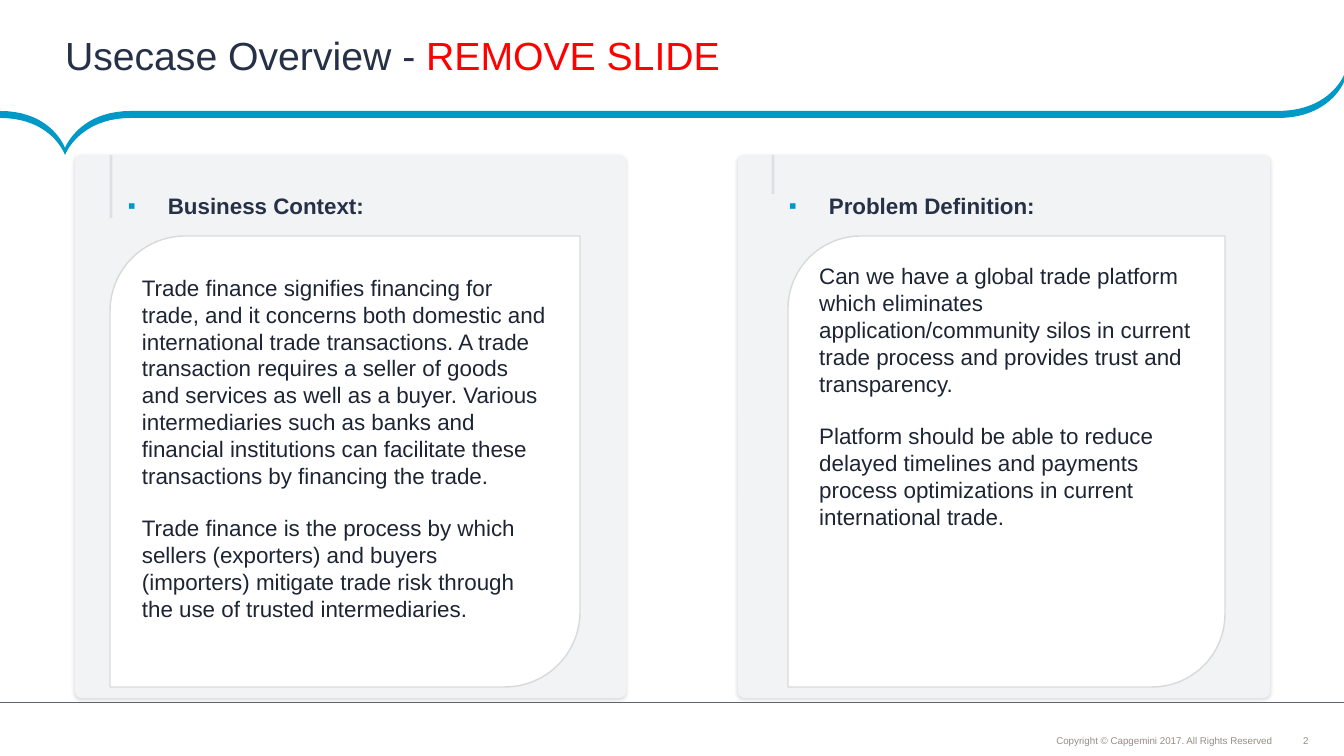
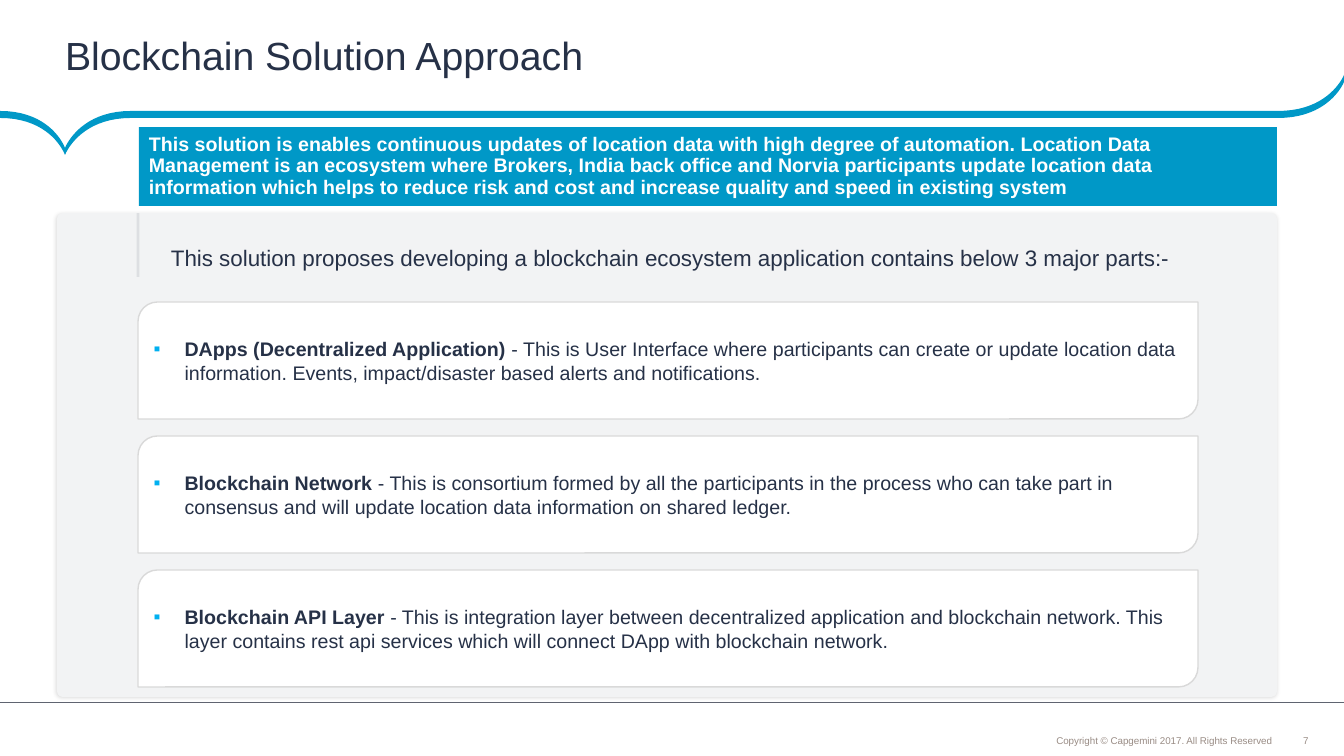
"""Build the use case overview and the solution approach slides."""
from lxml.etree import SubElement
from pptx import Presentation
from pptx.dml.color import RGBColor
from pptx.enum.shapes import MSO_CONNECTOR, MSO_SHAPE
from pptx.enum.text import MSO_ANCHOR, MSO_AUTO_SIZE, PP_ALIGN
from pptx.oxml.ns import qn
from pptx.util import Pt

PX = 9071
FONT = "Arial"
NAVY, INK, BLUE, SKY = "263147", "1D2535", "0098C7", "00B0F0"
WHITE, PALE, EDGE, RULE = "FFFFFF", "F2F3F4", "D9D9D9", "5F6470"
FOOTER_GREY, RED = "998C85", "FF0000"
colour = RGBColor.from_string


def place(slide, box, preset=None, fill=None, outline=None):
    """Add a text box, or a preset shape with its fill and outline."""
    left, top, width, height = (PX * length for length in box)
    if preset is None:
        return slide.shapes.add_textbox(left, top, width, height)
    shape = slide.shapes.add_shape(preset, left, top, width, height)
    shape.shadow.inherit = False
    shape.fill.solid()
    shape.fill.fore_color.rgb = colour(fill)
    if outline:
        shape.line.color.rgb = colour(outline)
        shape.line.width = Pt(1)
    else:
        shape.line.fill.background()
    return shape


def write(shape, paragraphs, size, frame={}, layout={}, bullet=None, indent=0):
    """Fill a shape with paragraphs, each a list of (text, colour, bold) runs."""
    for name, value in {"word_wrap": True, **frame}.items():
        setattr(shape.text_frame, name, value)
    for index, runs in enumerate(paragraphs):
        paragraph = shape.text_frame.add_paragraph() if index else shape.text_frame.paragraphs[0]
        for name, value in {"alignment": PP_ALIGN.LEFT, **layout}.items():
            setattr(paragraph, name, value)
        if index:
            paragraph.space_before = Pt(size * 1.15)
        if bullet:
            properties = paragraph._p.get_or_add_pPr()
            properties.set("marL", str(PX * indent))
            properties.set("indent", str(-PX * indent))
            SubElement(SubElement(properties, qn("a:buClr")), qn("a:srgbClr"), val=bullet)
            SubElement(properties, qn("a:buFont"), typeface=FONT)
            SubElement(properties, qn("a:buChar"), char="▪")
        for text, tint, bold in runs:
            run = paragraph.add_run()
            run.text = text
            for name, value in {"name": FONT, "size": Pt(size), "bold": bold}.items():
                setattr(run.font, name, value)
            run.font.color.rgb = colour(tint)


wave_start = (1278, 111)
wave_segments = [
    [(131, 111)],
    [(79, 111), (65, 148), (65, 148)],
    [(65, 148), (52, 111), (0, 111)],
    [(0, 118)],
    [(52, 118), (65, 155), (65, 155)],
    [(65, 155), (79, 118), (131, 118)],
    [(1278, 118)],
    [(1330, 118), (1344, 82), (1344, 82)],
    [(1344, 75)],
    [(1344, 75), (1330, 111), (1278, 111)],
]
wave_outline = [wave_start]
for segment in wave_segments:
    if len(segment) == 1:
        wave_outline += segment
        continue
    corners = [wave_outline[-1], *segment]
    for step in range(1, 21):
        t = step / 20
        weights = ((1 - t) ** 3, 3 * t * (1 - t) ** 2, 3 * t * t * (1 - t), t ** 3)
        wave_outline.append(tuple(
            sum(weight * corner[axis] for weight, corner in zip(weights, corners))
            for axis in (0, 1)))
wave_points = [(round(PX * x), round(PX * y)) for x, y in wave_outline]

title_frame = {"vertical_anchor": MSO_ANCHOR.MIDDLE, "auto_size": MSO_AUTO_SIZE.NONE,
               "margin_left": 65 * PX, "margin_right": 18 * PX,
               "margin_top": 4 * PX, "margin_bottom": 4 * PX}
copyright_frame = {"vertical_anchor": MSO_ANCHOR.BOTTOM, "margin_left": 4 * PX,
                   "margin_right": 4 * PX, "margin_top": 4 * PX, "margin_bottom": 4 * PX}
number_frame = {"vertical_anchor": MSO_ANCHOR.MIDDLE, "word_wrap": False, "margin_left": 0,
                "margin_right": 0, "margin_top": 0, "margin_bottom": 0}
middle = {"vertical_anchor": MSO_ANCHOR.MIDDLE}

pages = [
    ("2", [("Usecase Overview - ", NAVY, False), ("REMOVE SLIDE", RED, False)],
     [((75, 155, 551, 543), 111, 63), ((738, 155, 532, 543), 773, 39)]),
    ("7", [("Blockchain Solution Approach", NAVY, False)],
     [((57, 213, 1220, 484), 138, 64)]),
]

presentation = Presentation()
presentation.slide_width = 1344 * PX
presentation.slide_height = 756 * PX

for number, title_runs, panels in pages:
    slide = presentation.slides.add_slide(presentation.slide_layouts[5])

    builder = slide.shapes.build_freeform(*wave_points[0])
    builder.add_line_segments(wave_points[1:], close=True)
    wave = builder.convert_to_shape()
    wave.shadow.inherit = False
    wave.fill.solid()
    wave.fill.fore_color.rgb = colour(BLUE)
    wave.line.fill.background()

    title = slide.shapes.title
    for name, value in {"left": 0, "top": 0, "width": 1344, "height": 110}.items():
        setattr(title, name, PX * value)
    write(title, [title_runs], 28, title_frame)

    write(place(slide, (915, 731, 361, 20)),
          [[("Copyright © Capgemini 2017. All Rights Reserved", FOOTER_GREY, False)]],
          7, copyright_frame, {"alignment": PP_ALIGN.RIGHT, "line_spacing": 0.9})
    write(place(slide, (1300, 735, 12, 12)), [[(number, FOOTER_GREY, False)]],
          7, number_frame, {"alignment": PP_ALIGN.CENTER})

    rules = [((1344, 702, 0, 702), RULE, 0.5, 100)]
    for box, tick_x, tick_height in panels:
        rules.append(((tick_x, box[1], tick_x, box[1] + tick_height), NAVY, 2, 10))
        panel = place(slide, box, MSO_SHAPE.ROUNDED_RECTANGLE, PALE)
        panel.adjustments[0] = 0.012
        shadow = SubElement(panel._element.spPr.find(qn("a:effectLst")), qn("a:outerShdw"),
                            blurRad=str(Pt(3)), dist=str(Pt(1)), dir="5400000")
        SubElement(SubElement(shadow, qn("a:srgbClr"), val="000000"), qn("a:alpha"), val="15000")

    for ends, tint, weight, opacity in rules:
        rule = slide.shapes.add_connector(MSO_CONNECTOR.STRAIGHT, *(PX * end for end in ends))
        rule.line.color.rgb = colour(tint)
        rule.line.width = Pt(weight)
        SubElement(rule._element.spPr.find(".//" + qn("a:srgbClr")), qn("a:alpha"),
                   val=str(opacity * 1000))
        SubElement(rule._element.spPr, qn("a:effectLst"))

overview, approach = presentation.slides

topics = [
    ("Business Context:", (118, 190, 329, 34), (110, 236, 470, 451),
     {**middle, "margin_bottom": 32 * PX},
     ["Trade finance signifies financing for trade, and it concerns both domestic and "
      "international trade transactions. A trade transaction requires a seller of goods and "
      "services as well as a buyer. Various intermediaries such as banks and financial "
      "institutions can facilitate these transactions by financing the trade.",
      "Trade finance is the process by which sellers (exporters) and buyers (importers) "
      "mitigate trade risk through the use of trusted intermediaries."]),
    ("Problem Definition:", (779, 190, 473, 34), (788, 236, 437, 451),
     {"vertical_anchor": MSO_ANCHOR.TOP},
     ["Can we have a global trade platform which eliminates application/community silos in "
      "current trade process and provides trust and transparency.",
      "Platform should be able to reduce delayed timelines and payments process optimizations "
      "in current international trade."]),
]
for heading, heading_box, card_box, card_frame, statements in topics:
    write(place(overview, heading_box), [[(heading, NAVY, True)]], 16,
          layout={"line_spacing": 0.9}, bullet=BLUE, indent=40)
    card = place(overview, card_box, MSO_SHAPE.ROUND_2_DIAG_RECTANGLE, WHITE, EDGE)
    write(card, [[(statement, INK, False)] for statement in statements], 16, card_frame)

summary = ("This solution is enables continuous updates of location data with high degree of "
           "automation. Location Data Management is an ecosystem where Brokers, India back "
           "office and Norvia participants update location data information which helps to "
           "reduce risk and cost and increase quality and speed in existing system")
write(place(approach, (139, 127, 1138, 79), MSO_SHAPE.RECTANGLE, BLUE),
      [[(summary, WHITE, True)]], 14, middle, {"line_spacing": 0.9})

proposal = ("This solution proposes developing a blockchain ecosystem application contains "
            "below 3 major parts:-")
write(place(approach, (161, 239, 1054, 37)), [[(proposal, NAVY, False)]], 16)

parts = [
    ("DApps (Decentralized Application)",
     " - This is User Interface where participants can create or update location data "
     "information. Events, impact/disaster based alerts and notifications."),
    ("Blockchain Network",
     " - This is consortium formed by all the participants in the process who can take part in "
     "consensus and will update location data information on shared ledger."),
    ("Blockchain API Layer",
     " - This is integration layer between decentralized application and blockchain network. "
     "This layer contains rest api services which will connect DApp with blockchain network."),
]
for row, (part, role) in enumerate(parts):
    card = place(approach, (138, 302 + 134 * row, 1060, 117),
                 MSO_SHAPE.ROUND_2_DIAG_RECTANGLE, WHITE, EDGE)
    write(card, [[(part, NAVY, True), (role, NAVY, False)]], 14, middle, bullet=SKY, indent=31)

presentation.save("out.pptx")
